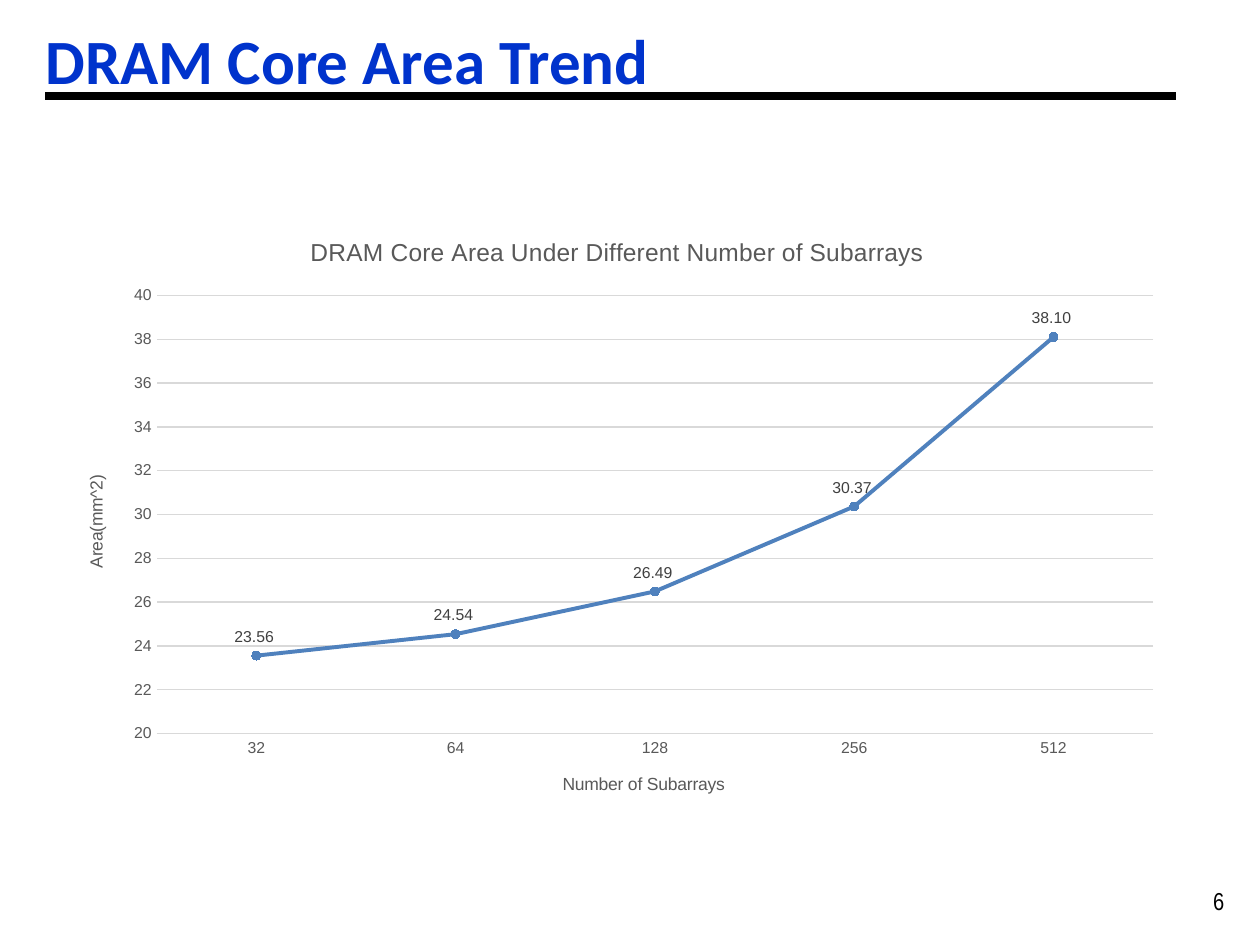
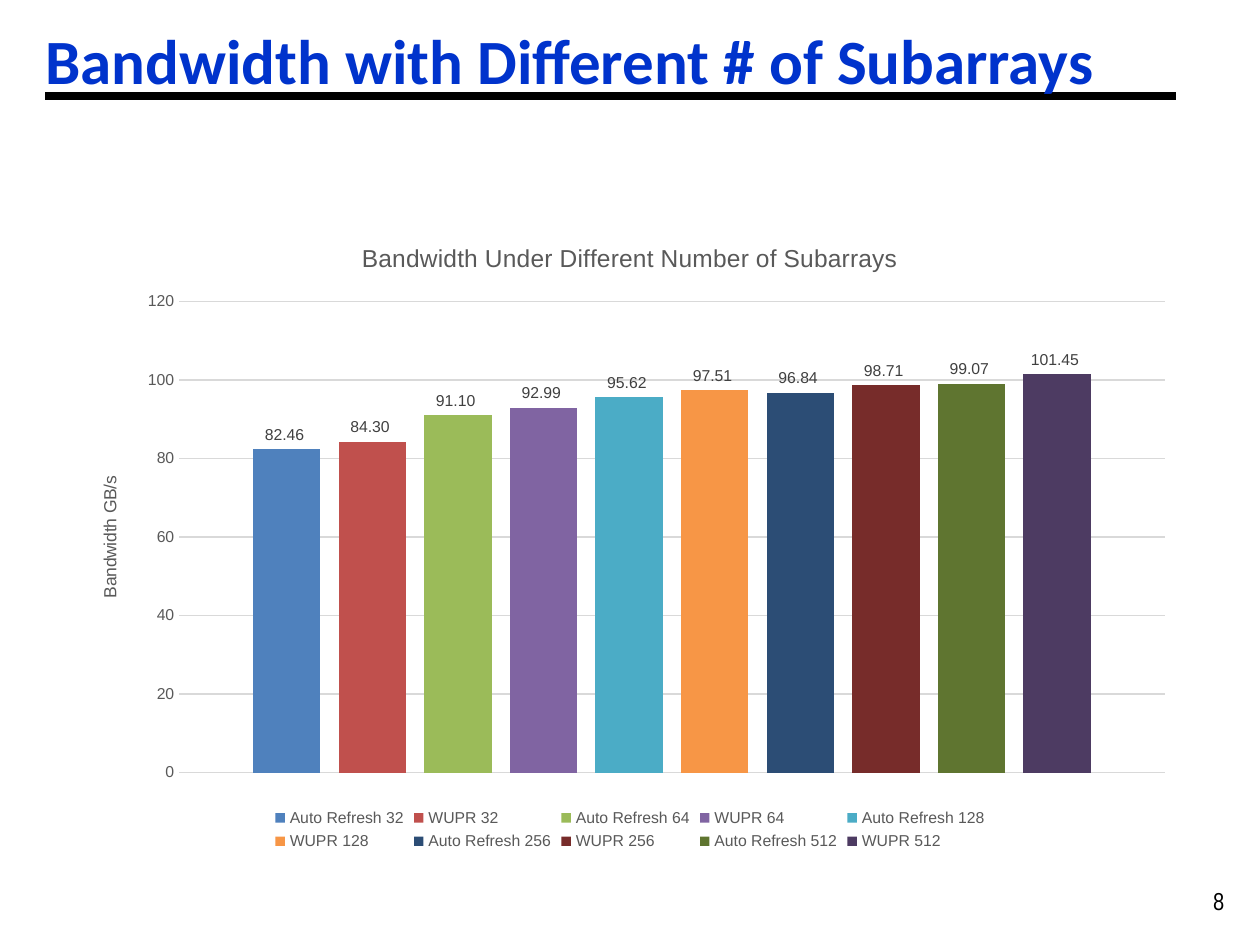
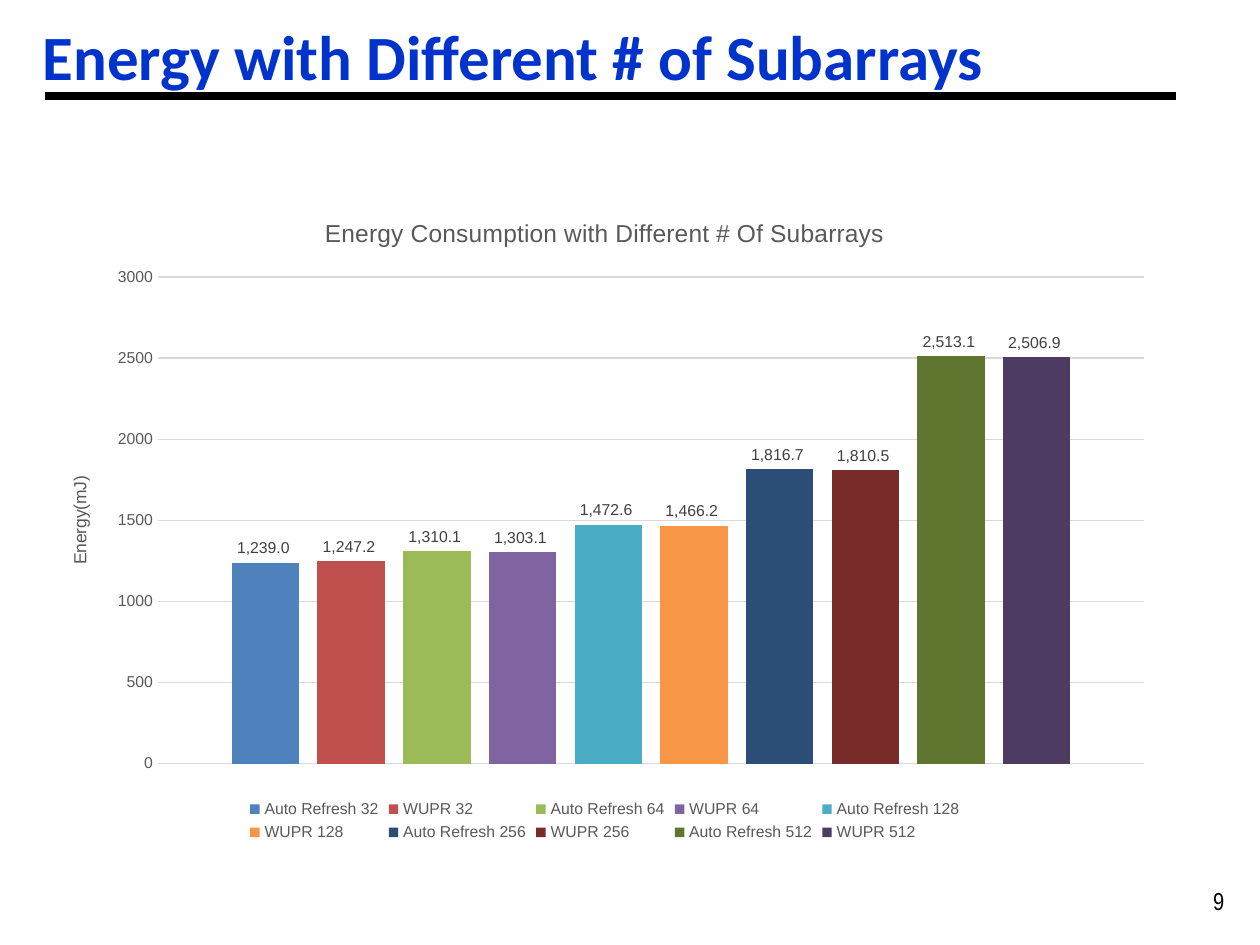
from pptx import Presentation
from pptx.chart.data import CategoryChartData
from pptx.dml.color import RGBColor
from pptx.enum.chart import (
    XL_CHART_TYPE as ChartType,
    XL_LABEL_POSITION as LabelPosition,
    XL_LEGEND_POSITION as LegendPosition,
    XL_MARKER_STYLE as MarkerStyle,
    XL_TICK_MARK as TickMark,
)
from pptx.enum.shapes import MSO_CONNECTOR
from pptx.enum.text import MSO_ANCHOR, MSO_AUTO_SIZE, PP_ALIGN
from pptx.oxml.ns import qn
from pptx.util import Inches, Pt
from lxml import etree

TITLE_BLUE = "0033CC"
BLACK = "000000"
CHART_GRAY = "595959"
LABEL_GRAY = "404040"
GRID_GRAY = "D9D9D9"
LINE_BLUE = "4F81BD"

SUBARRAYS = [32, 64, 128, 256, 512]
SCHEMES = [f"{mode} {count}" for count in SUBARRAYS for mode in ("Auto Refresh", "WUPR")]
SCHEME_COLORS = [
    "4F81BD", "C0504D", "9BBB59", "8064A2", "4BACC6",
    "F79646", "2C4D75", "772C2A", "5F7530", "4D3B62",
]
TWO_DECIMALS = r"#,##0.00_);[Red]\(#,##0.00\)"
ONE_DECIMAL = r"#,##0.0_);[Red]\(#,##0.0\)"

AREAS = [23.56, 24.54, 26.49, 30.37, 38.10]
BANDWIDTHS = [82.46, 84.30, 91.10, 92.99, 95.62, 97.51, 96.84, 98.71, 99.07, 101.45]
ENERGIES = [1239.0, 1247.2, 1310.1, 1303.1, 1472.6, 1466.2, 1816.7, 1810.5, 2513.1, 2506.9]


def rgb(value):
    return RGBColor.from_string(value)


def style_font(font, size=9, color=CHART_GRAY, name="Arial", bold=False):
    font.size = Pt(size)
    font.name = name
    font.bold = bold
    font.color.rgb = rgb(color)


def write_text(text_frame, text, align=None, **font_format):
    text_frame.text = text
    paragraph = text_frame.paragraphs[0]
    if align is not None:
        paragraph.alignment = align
    style_font(paragraph.runs[0].font, **font_format)


def set_line(line, color, width):
    line.color.rgb = rgb(color)
    line.width = Pt(width)


def add_title(slide, text, left, top, width):
    title = slide.shapes.title
    title.left, title.top = Inches(left), Inches(top)
    title.width, title.height = Inches(width), Inches(0.71)
    frame = title.text_frame
    frame.auto_size = MSO_AUTO_SIZE.NONE
    frame.vertical_anchor = MSO_ANCHOR.BOTTOM
    frame.margin_left = 0
    write_text(frame, text, align=PP_ALIGN.LEFT, size=36, color=TITLE_BLUE,
               name="Calibri", bold=True)


def add_title_rule(slide):
    """Draw the black rule behind the title."""
    rule = slide.shapes.add_connector(
        MSO_CONNECTOR.STRAIGHT, Inches(0.36), Inches(0.76), Inches(9.33), Inches(0.76))
    set_line(rule.line, BLACK, 4.5)
    etree.SubElement(rule.element.spPr, qn("a:effectLst"))
    slide.shapes.title.element.addprevious(rule.element)


def add_page_number(slide, number):
    box = slide.shapes.add_textbox(Inches(9.53), Inches(6.98), Inches(0.47), Inches(0.33))
    box.text_frame.word_wrap = True
    write_text(box.text_frame, str(number), size=14, color=BLACK, name="Arial Narrow")


def add_slide(presentation, title, number, left=0.36, top=0.11, width=9.64):
    title_only = presentation.slide_layouts[5]
    slide = presentation.slides.add_slide(title_only)
    add_title(slide, title, left, top, width)
    add_title_rule(slide)
    add_page_number(slide, number)
    return slide


def add_axis_title(axis, text):
    write_text(axis.axis_title.text_frame, text, size=10)


def style_value_axis(axis, title):
    add_axis_title(axis, title)
    body = axis.axis_title.element.xpath(".//a:bodyPr")[0]
    body.set("rot", "-5400000")
    body.set("vert", "horz")
    axis.major_tick_mark = TickMark.NONE
    axis.format.line.fill.background()
    set_line(axis.major_gridlines.format.line, GRID_GRAY, 0.75)
    style_font(axis.tick_labels.font)


def add_chart(slide, chart_type, data, box, title, value_title):
    """Add a chart with the shared title and value axis style."""
    chart = slide.shapes.add_chart(chart_type, *map(Inches, box), data).chart
    style_font(chart.font, size=10, color=BLACK)
    write_text(chart.chart_title.text_frame, title, size=14)
    chart.chart_title.include_in_layout = False
    chart.has_legend = False
    chart.plots[0].vary_by_categories = False
    style_value_axis(chart.value_axis, value_title)
    return chart


def add_value_labels(series, number_format, position):
    labels = series.data_labels
    labels.show_value = True
    labels.number_format = number_format
    labels.number_format_is_linked = False
    labels.position = position
    style_font(labels.font, color=LABEL_GRAY)


def add_area_chart(slide, box):
    """Add the line chart of core area by number of subarrays."""
    data = CategoryChartData()
    data.categories = [str(count) for count in SUBARRAYS]
    data.add_series("Series 1", AREAS)
    chart = add_chart(slide, ChartType.LINE_MARKERS_STACKED, data, box,
                      "DRAM Core Area Under Different Number of Subarrays", "Area(mm^2)")
    chart.value_axis.minimum_scale = 20

    axis = chart.category_axis
    add_axis_title(axis, "Number of Subarrays")
    axis.major_tick_mark = TickMark.NONE
    set_line(axis.format.line, GRID_GRAY, 0.75)
    style_font(axis.tick_labels.font)

    series = chart.plots[0].series[0]
    series.smooth = False
    set_line(series.format.line, LINE_BLUE, 2.25)
    marker = series.marker
    marker.style = MarkerStyle.CIRCLE
    marker.size = 5
    marker.format.fill.solid()
    marker.format.fill.fore_color.rgb = rgb(LINE_BLUE)
    set_line(marker.format.line, LINE_BLUE, 0.75)
    add_value_labels(series, TWO_DECIMALS, LabelPosition.ABOVE)


def add_scheme_chart(slide, box, title, value_title, values, number_format):
    """Add a column chart with one series for each refresh scheme."""
    data = CategoryChartData()
    data.categories = ["1"]
    for scheme, value in zip(SCHEMES, values):
        data.add_series(scheme, [value])
    chart = add_chart(slide, ChartType.COLUMN_CLUSTERED, data, box, title, value_title)
    chart.category_axis.visible = False

    chart.has_legend = True
    chart.legend.position = LegendPosition.BOTTOM
    chart.legend.include_in_layout = False
    style_font(chart.legend.font)

    plot = chart.plots[0]
    plot.gap_width = 219
    plot.overlap = -27
    for series, color in zip(plot.series, SCHEME_COLORS):
        series.format.fill.solid()
        series.format.fill.fore_color.rgb = rgb(color)
        add_value_labels(series, number_format, LabelPosition.OUTSIDE_END)


def main():
    presentation = Presentation()
    presentation.slide_width = Inches(10)
    presentation.slide_height = Inches(7.5)

    area_slide = add_slide(presentation, "DRAM Core Area Trend", 6, width=9.5)
    add_area_chart(area_slide, (0.47, 1.69, 8.86, 4.82))

    bandwidth_slide = add_slide(presentation, "Bandwidth with Different # of Subarrays", 8)
    add_scheme_chart(bandwidth_slide, (0.58, 1.73, 8.84, 5.06),
                     "Bandwidth Under Different Number of Subarrays",
                     "Bandwidth GB/s", BANDWIDTHS, TWO_DECIMALS)

    energy_slide = add_slide(presentation, "Energy with Different # of Subarrays", 9,
                             left=0.34, top=0.08)
    add_scheme_chart(energy_slide, (0.34, 1.53, 8.92, 5.19),
                     "Energy Consumption with Different # Of Subarrays",
                     "Energy(mJ)", ENERGIES, ONE_DECIMAL)

    presentation.save("out.pptx")


if __name__ == "__main__":
    main()
